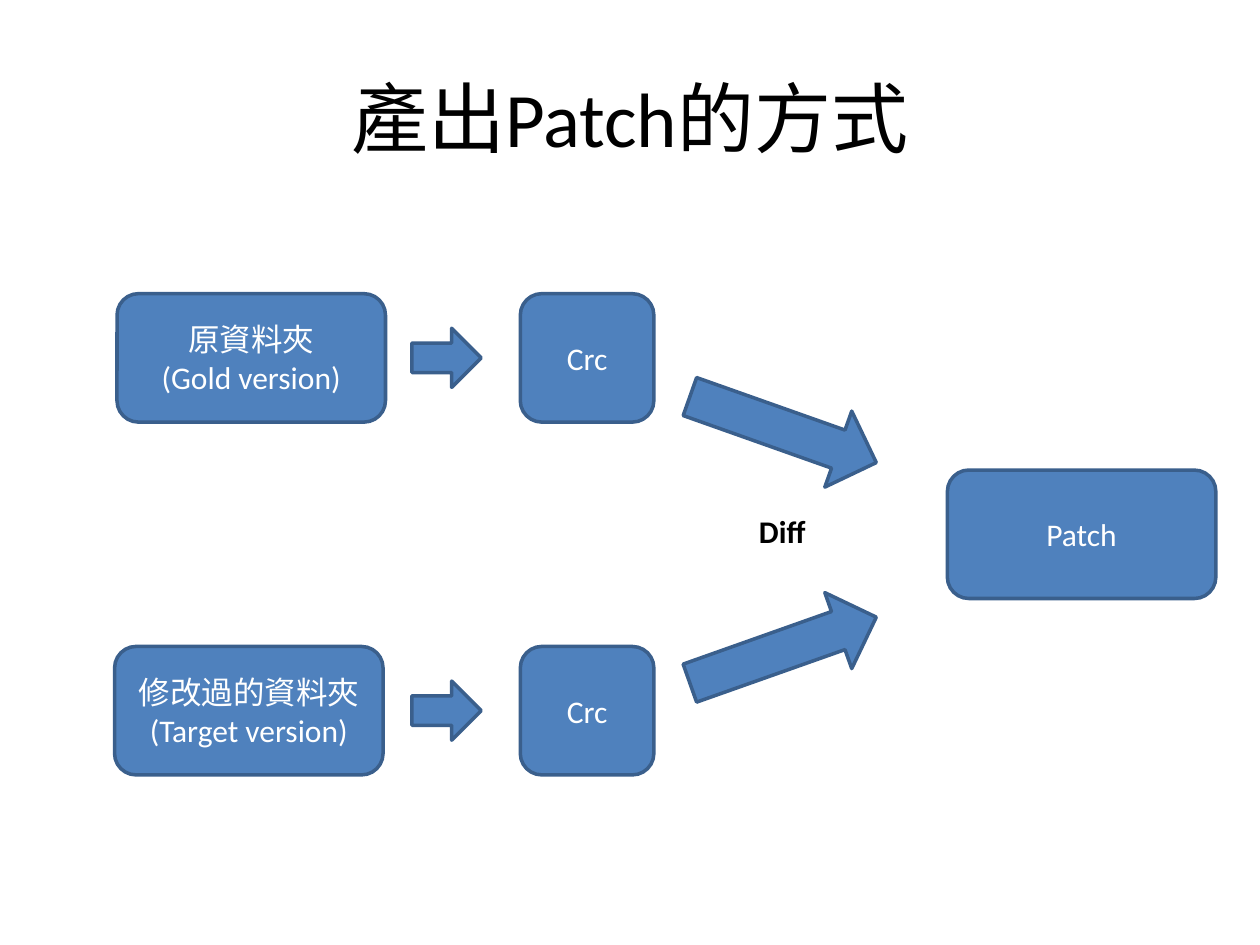
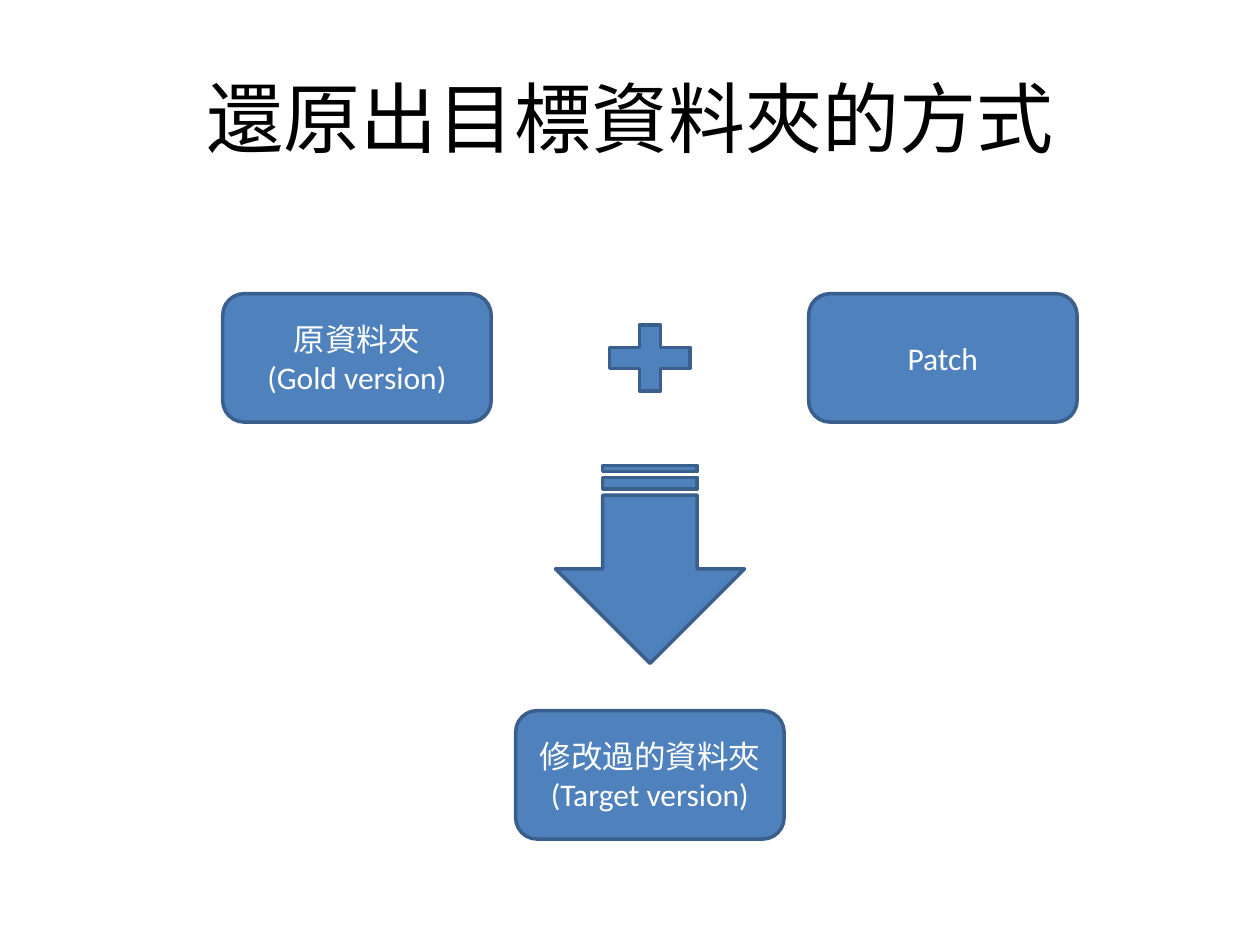
"""Builds two slides that show how a patch is made and how it is applied."""
import pptx
import pptx.dml.color
import pptx.enum.shapes
import pptx.enum.text
import pptx.util

Pt = pptx.util.Pt
MSO = pptx.enum.shapes.MSO_SHAPE
ALIGN = pptx.enum.text.PP_ALIGN
ANCHOR = pptx.enum.text.MSO_ANCHOR

THEME = {
    "font": "Calibri",
    "fill": "4F81BD", "line": "3A5F8C", "line_width": 2,
    "text": "000000", "box_text": "FFFFFF",
    "title_size": 44, "body_size": 18,
    "title_frame": (36, 21.6, 648, 90),
}

GOLD = "原資料夾\n(Gold version)"
TARGET = "修改過的資料夾\n(Target version)"
PATCH = "Patch"
CRC = "Crc"

MAKE_TITLE = "產出Patch的方式"
MAKE_ROWS = [(GOLD, 143.6, 204.5), (TARGET, 142.2, 406.1)]
DIFF = "Diff"
RESTORE_TITLE = "還原出目標資料夾的方式"

BOX = (153.4, 73.4)
CRC_BOX = (76.3, 73.4)
STEP_ARROW = (39.6, 33.8)
DIFF_ARROW = (113, 46.1)
PLUS = (62.6, 51.1)
RESTORE_ARROW = (113, 108)
DIFF_LABEL = (41.8, 29)


def color(name):
    return pptx.dml.color.RGBColor.from_string(THEME[name])


def style(p, size, ink, bold=False):
    for r in p.runs:
        r.font.name = THEME["font"]
        r.font.size = Pt(THEME[size])
        r.font.color.rgb = color(ink)
        r.font.bold = bold


def frame(cx, cy, size):
    w, h = size
    return [Pt(v) for v in (cx - w / 2, cy - h / 2, w, h)]


def add_slide(prs, title):
    slide = prs.slides.add_slide(prs.slide_layouts[5])
    sp = slide.shapes.title
    sp.left, sp.top, sp.width, sp.height = [Pt(v) for v in THEME["title_frame"]]
    sp.text_frame.text = title
    sp.text_frame.vertical_anchor = ANCHOR.MIDDLE
    p = sp.text_frame.paragraphs[0]
    p.alignment = ALIGN.CENTER
    style(p, "title_size", "text")
    return slide


def add_figure(slide, kind, cx, cy, size, rotation=0):
    sp = slide.shapes.add_shape(kind, *frame(cx, cy, size))
    sp.rotation = rotation
    sp.shadow.inherit = False
    sp.fill.solid()
    sp.fill.fore_color.rgb = color("fill")
    sp.line.color.rgb = color("line")
    sp.line.width = Pt(THEME["line_width"])
    return sp


def add_box(slide, text, cx, cy, size=BOX):
    tf = add_figure(slide, MSO.ROUNDED_RECTANGLE, cx, cy, size).text_frame
    tf.word_wrap = True
    tf.vertical_anchor = ANCHOR.MIDDLE
    p = tf.paragraphs[0]
    p.text = text
    p.alignment = ALIGN.CENTER
    style(p, "body_size", "box_text")


def add_label(slide, text, cx, cy, size):
    tf = slide.shapes.add_textbox(*frame(cx, cy, size)).text_frame
    tf.word_wrap = False
    tf.auto_size = pptx.enum.text.MSO_AUTO_SIZE.SHAPE_TO_FIT_TEXT
    tf.text = text
    style(tf.paragraphs[0], "body_size", "text", bold=True)


def build_make(prs):
    slide = add_slide(prs, MAKE_TITLE)
    diff_x, diff_y = 447.5, 308.5
    for (text, cx, cy), side in zip(MAKE_ROWS, (-1, 1)):
        add_box(slide, text, cx, cy)
        add_figure(slide, MSO.RIGHT_ARROW, 255.2, cy, STEP_ARROW)
        add_box(slide, CRC, 335.5, cy, CRC_BOX)
        add_figure(slide, MSO.RIGHT_ARROW, diff_x, diff_y + side * 63,
                   DIFF_ARROW, -side * 19.5)
    add_box(slide, PATCH, 618.1, 305.3)
    add_label(slide, DIFF, diff_x, 303.8, DIFF_LABEL)


def build_restore(prs):
    slide = add_slide(prs, RESTORE_TITLE)
    middle, spread, top = 371.4, 167.4, 204.5
    add_box(slide, GOLD, middle - spread, top)
    add_figure(slide, MSO.MATH_PLUS, middle, top, PLUS)
    add_box(slide, PATCH, middle + spread, top)
    add_figure(slide, MSO.STRIPED_RIGHT_ARROW, middle, 322.6, RESTORE_ARROW, 90)
    add_box(slide, TARGET, middle, 442.8)


prs = pptx.Presentation()
prs.slide_width, prs.slide_height = Pt(720), Pt(540)
build_make(prs)
build_restore(prs)
prs.save("out.pptx")
